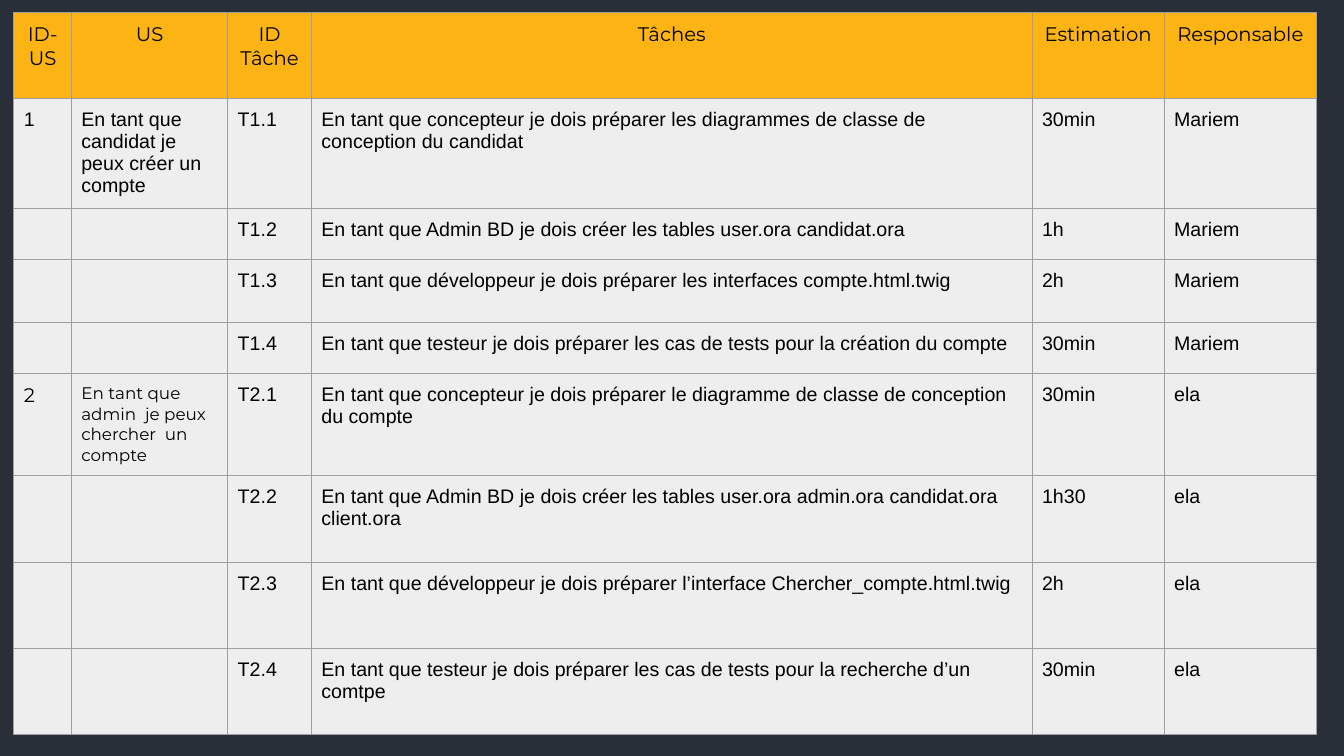
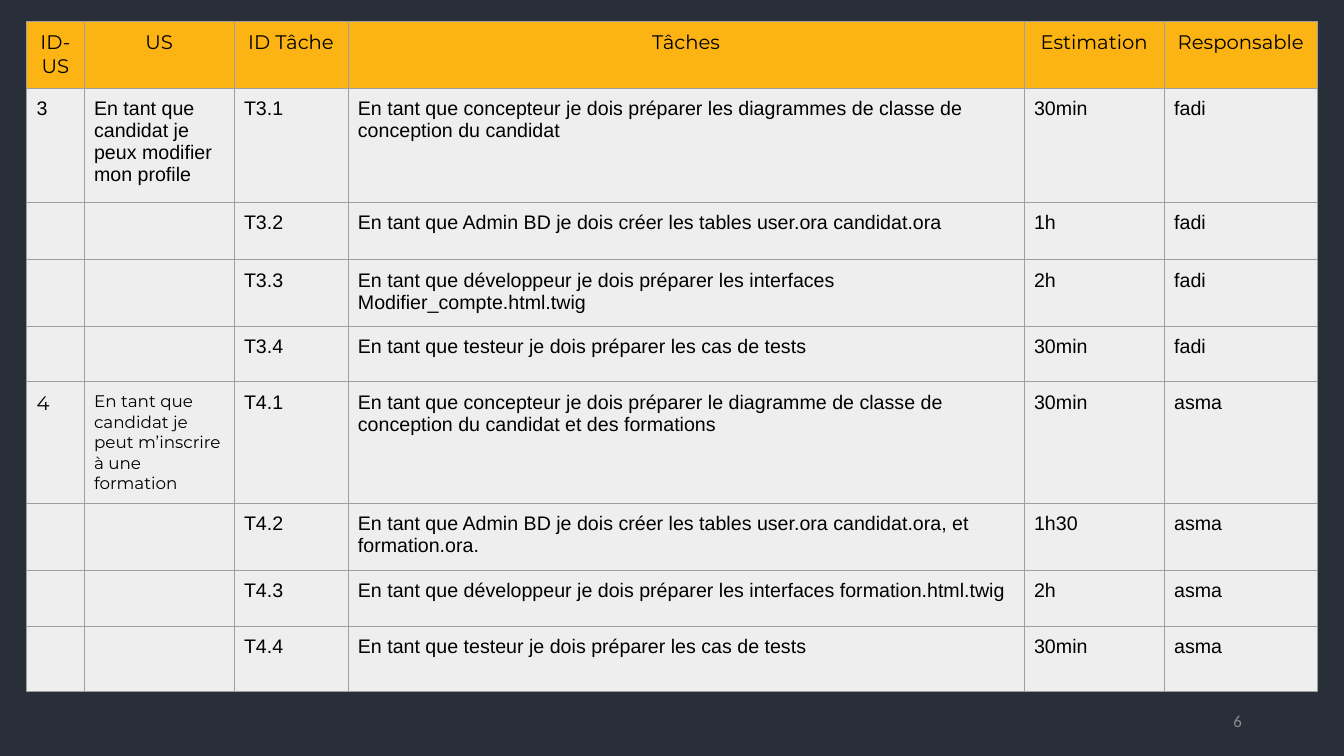
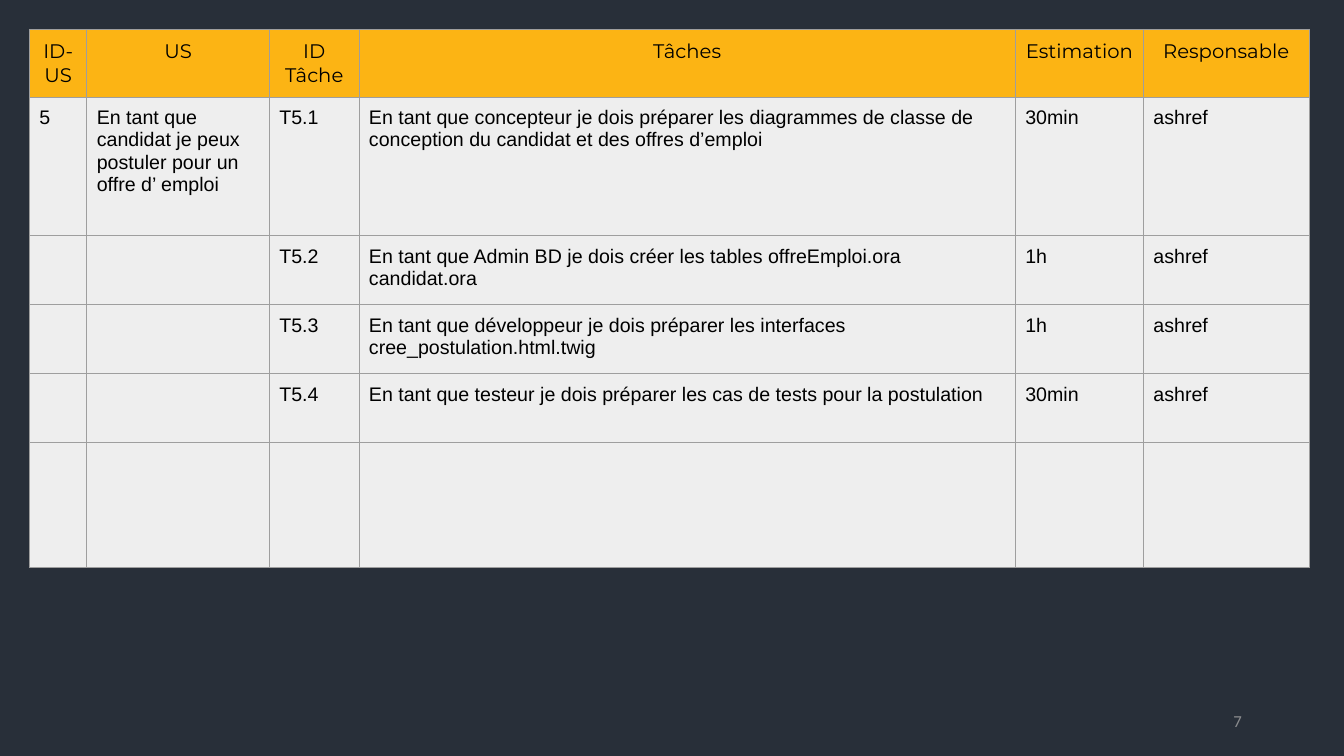
from dataclasses import dataclass
from itertools import zip_longest
from typing import Any

from lxml.etree import SubElement
from pptx import Presentation
from pptx.dml.color import RGBColor
from pptx.enum.text import MSO_ANCHOR, PP_ALIGN
from pptx.oxml.ns import qn
from pptx.util import Cm, Pt

NAVY = RGBColor(0x28, 0x2F, 0x39)
AMBER = RGBColor(0xFC, 0xB4, 0x14)
PALE = RGBColor(0xEE, 0xEE, 0xEE)
RULE = RGBColor(0x9E, 0x9E, 0x9E)
BLACK = RGBColor(0, 0, 0)
GREY = RGBColor(0x8B, 0x8C, 0x8E)

HEADER = {"name": "Montserrat", "size": Pt(14), "color": BLACK}
BODY = {"name": "Arial", "size": Pt(14), "color": BLACK}
SMALL = {"name": "Montserrat", "size": Pt(12), "color": BLACK}
FOOTER = {"name": "Calibri", "size": Pt(12), "color": GREY}

HEADINGS = ("ID-US", "US", "ID Tâche", "Tâches", "Estimation", "Responsable")
MARGINS = ("margin_left", "margin_top", "margin_right", "margin_bottom")


@dataclass(frozen=True)
class Task:
    text: str
    estimate: str


@dataclass(frozen=True)
class Story:
    number: int
    text: str
    owner: str
    tasks: tuple[Task, ...]
    number_style: dict[str, Any]
    text_style: dict[str, Any]


@dataclass(frozen=True)
class Backlog:
    left: float
    top: float
    widths: tuple[float, ...]
    heights: tuple[float, ...]
    stories: tuple[Story, ...]
    page: str = ""


BACKLOGS = (
    Backlog(
        0.35, 0.32,
        (1.45, 3.94, 2.11, 18.16, 3.33, 3.84),
        (2.17, 2.77, 1.23, 1.6, 1.23, 2.57, 2.19, 2.17, 2.17),
        (
            Story(1, "En tant que candidat je peux créer un compte", "Mariem", (
                Task("En tant que concepteur je dois préparer les diagrammes de classe de conception du candidat", "30min"),
                Task("En tant que Admin BD je dois créer les tables user.ora candidat.ora", "1h"),
                Task("En tant que développeur je dois préparer les interfaces compte.html.twig", "2h"),
                Task("En tant que testeur je dois préparer les cas de tests pour la création du compte", "30min"),
            ), BODY, BODY),
            Story(2, "En tant que admin  je peux chercher  un  compte", "ela", (
                Task("En tant que concepteur je dois préparer le diagramme de classe de conception du compte", "30min"),
                Task("En tant que Admin BD je dois créer les tables user.ora admin.ora candidat.ora client.ora", "1h30"),
                Task("En tant que développeur je dois préparer l’interface Chercher_compte.html.twig", "2h"),
                Task("En tant que testeur je dois préparer les cas de tests pour la recherche d’un comtpe", "30min"),
            ), HEADER, SMALL),
        ),
    ),
    Backlog(
        0.67, 0.53,
        (1.45, 3.78, 2.87, 17.04, 3.53, 3.86),
        (1.69, 2.75, 1.44, 1.61, 1.39, 3.07, 1.64, 1.41, 1.66),
        (
            Story(3, "En tant que candidat je peux modifier mon profile", "fadi", (
                Task("En tant que concepteur je dois préparer les diagrammes de classe de conception du candidat", "30min"),
                Task("En tant que Admin BD je dois créer les tables user.ora candidat.ora", "1h"),
                Task("En tant que développeur je dois préparer les interfaces Modifier_compte.html.twig", "2h"),
                Task("En tant que testeur je dois préparer les cas de tests", "30min"),
            ), BODY, BODY),
            Story(4, "En tant que candidat je peut m’inscrire à une formation", "asma", (
                Task("En tant que concepteur je dois préparer le diagramme de classe de conception du candidat et des formations", "30min"),
                Task("En tant que Admin BD je dois créer les tables user.ora candidat.ora, et formation.ora.", "1h30"),
                Task("En tant que développeur je dois préparer les interfaces formation.html.twig", "2h"),
                Task("En tant que testeur je dois préparer les cas de tests", "30min"),
            ), HEADER, SMALL),
        ),
        "6",
    ),
    Backlog(
        0.74, 0.74,
        (1.45, 4.6, 2.26, 16.54, 3.23, 4.17),
        (1.71, 3.48, 1.74, 1.74, 1.74, 3.15),
        (
            Story(5, "En tant que candidat je peux postuler pour un offre d’ emploi", "ashref", (
                Task("En tant que concepteur je dois préparer les diagrammes de classe de conception du candidat et des offres d’emploi", "30min"),
                Task("En tant que Admin BD je dois créer les tables offreEmploi.ora candidat.ora", "1h"),
                Task("En tant que développeur je dois préparer les interfaces cree_postulation.html.twig", "1h"),
                Task("En tant que testeur je dois préparer les cas de tests pour la postulation", "30min"),
            ), BODY, BODY),
        ),
        "7",
    ),
)


def write(p: Any, text: str, style: dict[str, Any], align: Any = PP_ALIGN.LEFT) -> None:
    p.alignment = align
    r = p.add_run()
    r.text = text
    for key, value in style.items():
        if key == "color":
            r.font.color.rgb = value
        else:
            setattr(r.font, key, value)


def add_borders(cell: Any) -> None:
    tc_pr = cell._tc.get_or_add_tcPr()
    for side in ("lnL", "lnR", "lnT", "lnB"):
        ln = SubElement(tc_pr, qn(f"a:{side}"), w=str(Pt(0.75)))
        fill = SubElement(ln, qn("a:solidFill"))
        SubElement(fill, qn("a:srgbClr"), val=str(RULE))


def story_rows(story: Story) -> list[list[tuple[str, dict[str, Any]]]]:
    rows = []
    for n, task in enumerate(story.tasks, 1):
        first = n == 1
        rows.append([
            (str(story.number) if first else "", story.number_style),
            (story.text if first else "", story.text_style),
            (f"T{story.number}.{n}", BODY),
            (task.text, BODY),
            (task.estimate, BODY),
            (story.owner, BODY),
        ])
    return rows


def add_backlog(s: Any, backlog: Backlog) -> None:
    widths, heights = backlog.widths, backlog.heights
    table = s.shapes.add_table(
        len(heights), len(widths), Cm(backlog.left), Cm(backlog.top),
        Cm(sum(widths)), Cm(sum(heights)),
    ).table
    table.first_row = table.horz_banding = False
    for column, width in zip(table.columns, widths):
        column.width = Cm(width)
    rows = [[(heading, HEADER) for heading in HEADINGS]]
    for story in backlog.stories:
        rows += story_rows(story)
    blank = [("", BODY)] * len(widths)
    for i, (row, height, texts) in enumerate(
        zip_longest(table.rows, heights, rows)
    ):
        row.height = Cm(height)
        for cell, (text, style) in zip(row.cells, texts or blank):
            for margin in MARGINS:
                setattr(cell, margin, Cm(0.25))
            add_borders(cell)
            cell.fill.solid()
            cell.fill.fore_color.rgb = PALE if i else AMBER
            if text:
                align = PP_ALIGN.LEFT if i else PP_ALIGN.CENTER
                write(cell.text_frame.paragraphs[0], text, style, align)


def add_page_number(s: Any, page: str) -> None:
    sp = s.shapes.add_textbox(Cm(23.93), Cm(17.65), Cm(7.62), Cm(1.02))
    tf = sp.text_frame
    tf.word_wrap = True
    tf.vertical_anchor = MSO_ANCHOR.MIDDLE
    write(tf.paragraphs[0], page, FOOTER, PP_ALIGN.RIGHT)


def main() -> None:
    prs = Presentation()
    prs.slide_width, prs.slide_height = Cm(33.87), Cm(19.05)
    background = prs.slide_master.background.fill
    background.solid()
    background.fore_color.rgb = NAVY
    for backlog in BACKLOGS:
        s = prs.slides.add_slide(prs.slide_layouts[6])
        if backlog.page:
            add_page_number(s, backlog.page)
        add_backlog(s, backlog)
    prs.save("out.pptx")


if __name__ == "__main__":
    main()
